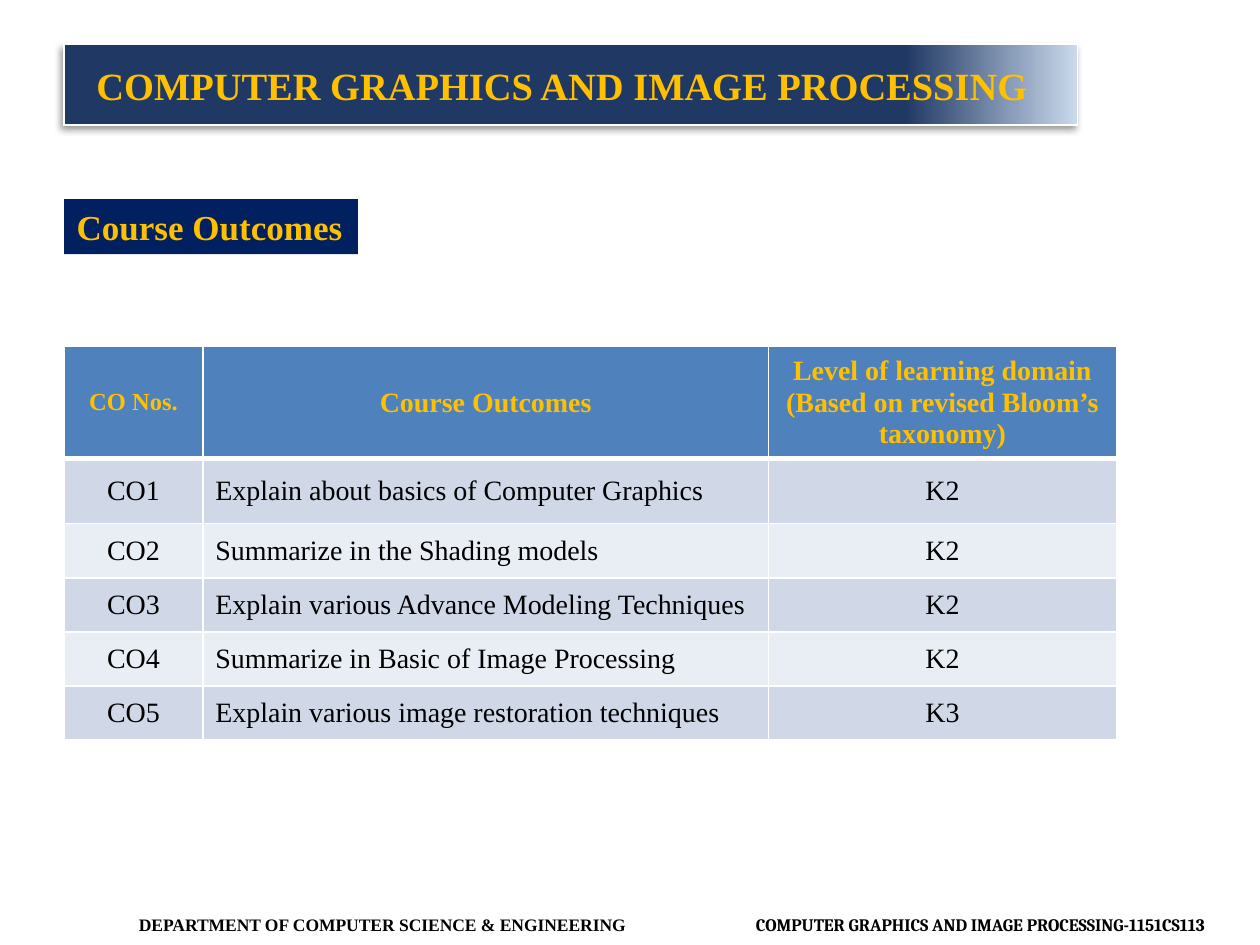
from lxml import etree
from pptx import Presentation
from pptx.dml.color import RGBColor
from pptx.enum.shapes import MSO_SHAPE
from pptx.enum.text import MSO_ANCHOR, MSO_AUTO_SIZE, PP_ALIGN
from pptx.oxml import parse_xml
from pptx.oxml.ns import nsdecls, qn
from pptx.util import Pt

GOLD = RGBColor(0xFF, 0xC0, 0x00)
BLACK = RGBColor(0x00, 0x00, 0x00)
WHITE = RGBColor(0xFF, 0xFF, 0xFF)
NAVY = RGBColor(0x00, 0x20, 0x60)
BANNER_BLUE = RGBColor(0x20, 0x38, 0x64)
BANNER_PALE = RGBColor(0xCA, 0xD9, 0xEB)
HEADER_BLUE = RGBColor(0x4F, 0x81, 0xBD)
BANDS = (RGBColor(0xD0, 0xD8, 0xE8), RGBColor(0xE9, 0xED, 0xF4))
SERIF = "Times New Roman"

TITLE = "COMPUTER GRAPHICS AND IMAGE PROCESSING"
HEADING = "Course Outcomes"
DEPARTMENT = "DEPARTMENT OF COMPUTER SCIENCE & ENGINEERING"
COURSE = "COMPUTER GRAPHICS AND IMAGE PROCESSING-1151CS113"
HEADERS = [
    (["CO Nos."], 14),
    (["Course Outcomes"], 16),
    (["Level of learning domain", "(Based on revised Bloom’s", "taxonomy)"], 16),
]
OUTCOMES = [
    ("CO1", "Explain about basics of Computer Graphics", "K2"),
    ("CO2", "Summarize in the Shading models", "K2"),
    ("CO3", "Explain various Advance Modeling Techniques", "K2"),
    ("CO4", "Summarize in Basic of Image Processing", "K2"),
    ("CO5", "Explain various image restoration techniques", "K3"),
]
LEFT = 36.72
COLUMN_WIDTHS = [79.2, 323.3, 198.7]
ROW_HEIGHTS = [64.1, 37.2] + [30.9] * 4


def add_span(para, text, size, color, bold=True, font=SERIF):
    span = para.add_run()
    span.text = text
    span.font.name = font
    span.font.size = Pt(size)
    span.font.bold = bold
    span.font.color.rgb = color


def add_plain_table(slide, top, widths, heights):
    """Add a table whose built-in header and banding are switched off."""
    frame = slide.shapes.add_table(
        len(heights), len(widths), Pt(LEFT), Pt(top), Pt(sum(widths)), Pt(sum(heights)))
    table = frame.table
    table.first_row = table.horz_banding = False
    for column, width in zip(table.columns, widths):
        column.width = Pt(width)
    for row, height in zip(table.rows, heights):
        row.height = Pt(height)
    return table


def set_borders(cell, **widths):
    """Draw white borders; they must come before the fill in the cell XML."""
    properties = cell._tc.get_or_add_tcPr()
    for index, side in enumerate("LRTB"):
        line = parse_xml(
            f'<a:ln{side} {nsdecls("a")} w="{Pt(widths.get(side, 1))}"><a:solidFill>'
            f'<a:srgbClr val="{WHITE}"/></a:solidFill></a:ln{side}>')
        properties.insert(index, line)


def fill_cell(cell, lines, size, text_color, fill, bold, align, bottom):
    cell.vertical_anchor = MSO_ANCHOR.MIDDLE
    cell.fill.solid()
    cell.fill.fore_color.rgb = fill
    set_borders(cell, B=bottom)
    for index, line in enumerate(lines):
        para = cell.text_frame.add_paragraph() if index else cell.text_frame.paragraphs[0]
        para.alignment = align
        add_span(para, line, size, text_color, bold)


def add_banner(slide):
    table = add_plain_table(slide, 25.2, [578.9], [46.1])
    fill = table.cell(0, 0).fill
    fill.gradient()
    fill.gradient_angle = 0
    stops = zip(fill.gradient_stops, (0.83, 1), (BANNER_BLUE, BANNER_PALE))
    for stop, position, color in stops:
        stop.position = position
        stop.color.rgb = color
    shadow = parse_xml(
        f'<a:effectLst {nsdecls("a")}><a:outerShdw blurRad="{Pt(4)}" dist="{Pt(3)}" '
        'dir="8100000" algn="tr" rotWithShape="0"><a:srgbClr val="000000">'
        '<a:alpha val="40000"/></a:srgbClr></a:outerShdw></a:effectLst>')
    table._tbl.tblPr.insert(0, shadow)


def add_title(slide):
    title = slide.shapes.title
    title.left, title.top, title.width, title.height = Pt(-2.9), Pt(3.6), Pt(648), Pt(90)
    title.text_frame.vertical_anchor = MSO_ANCHOR.MIDDLE
    para = title.text_frame.paragraphs[0]
    para.alignment = PP_ALIGN.CENTER
    add_span(para, TITLE, 22, GOLD)
    # Bring the title in front of the banner
    slide.shapes._spTree.append(title._element)


def add_heading(slide):
    box = slide.shapes.add_shape(
        MSO_SHAPE.RECTANGLE, Pt(LEFT), Pt(113.8), Pt(167.8), Pt(31.5))
    box.shadow.inherit = False
    box.fill.solid()
    box.fill.fore_color.rgb = NAVY
    box.line.fill.background()
    frame = box.text_frame
    frame.word_wrap = False
    frame.auto_size = MSO_AUTO_SIZE.SHAPE_TO_FIT_TEXT
    frame.vertical_anchor = MSO_ANCHOR.TOP
    para = frame.paragraphs[0]
    para.alignment = PP_ALIGN.LEFT
    add_span(para, HEADING, 20, GOLD)


def add_outcomes(slide):
    table = add_plain_table(slide, 198, COLUMN_WIDTHS, ROW_HEIGHTS)
    for column, (lines, size) in enumerate(HEADERS):
        fill_cell(table.cell(0, column), lines, size, GOLD, HEADER_BLUE,
                  True, PP_ALIGN.CENTER, 3)
    for row, outcome in enumerate(OUTCOMES, start=1):
        for column, text in enumerate(outcome):
            align = PP_ALIGN.LEFT if column == 1 else PP_ALIGN.CENTER
            cell = table.cell(row, column)
            fill_cell(cell, [text], 16, BLACK, BANDS[(row - 1) % 2], False, align, 1)
            if row == 1:
                cell._tc.tcPr.find(qn("a:lnT")).set("w", str(Pt(3)))


def add_footer(slide):
    box = slide.shapes.add_textbox(Pt(0), Pt(514.1), Pt(720), Pt(28.8))
    frame = box.text_frame
    frame.word_wrap = True
    frame.vertical_anchor = MSO_ANCHOR.MIDDLE
    frame.margin_left, frame.margin_right = Pt(79.4), Pt(0)
    para = frame.paragraphs[0]
    tabs = etree.SubElement(para._p.get_or_add_pPr(), qn("a:tabLst"))
    etree.SubElement(tabs, qn("a:tab"), pos=str(Pt(352.6)), algn="l")
    add_span(para, DEPARTMENT + "\t", 10, BLACK)
    add_span(para, COURSE, 10, BLACK, font="Cambria")


def main():
    deck = Presentation()
    deck.slide_width, deck.slide_height = Pt(720), Pt(540)
    slide = deck.slides.add_slide(deck.slide_layouts[5])
    add_footer(slide)
    add_banner(slide)
    add_title(slide)
    add_outcomes(slide)
    add_heading(slide)
    deck.save("out.pptx")


if __name__ == "__main__":
    main()
